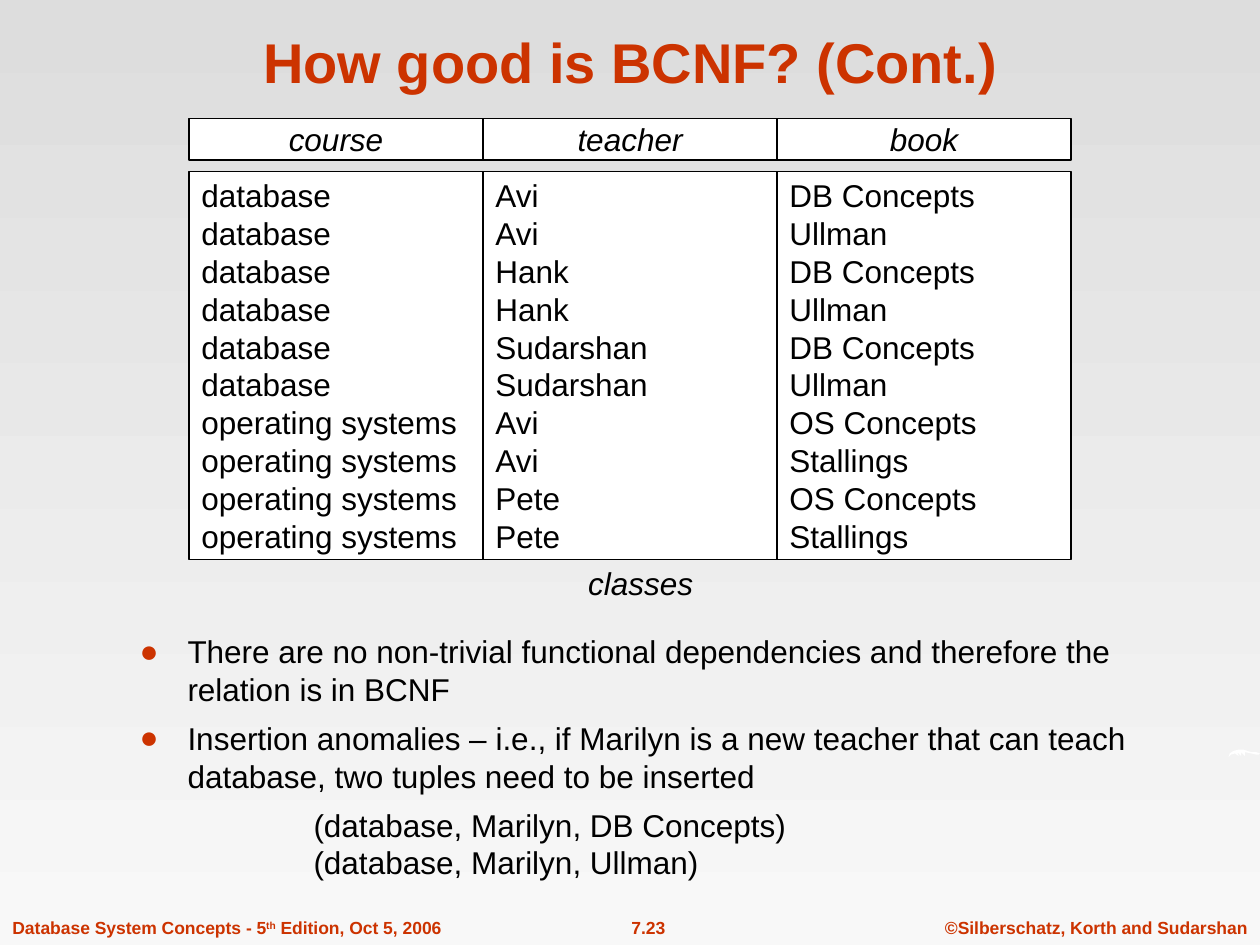
from dataclasses import dataclass
from typing import Optional

from lxml import etree
from pptx import Presentation
from pptx.dml.color import RGBColor
from pptx.enum.shapes import MSO_SHAPE
from pptx.enum.text import MSO_ANCHOR, PP_ALIGN
from pptx.oxml.ns import qn
from pptx.util import Inches, Pt

RECT = MSO_SHAPE.RECTANGLE
TOP, MIDDLE, BOTTOM = MSO_ANCHOR.TOP, MSO_ANCHOR.MIDDLE, MSO_ANCHOR.BOTTOM
LEFT, CENTER = PP_ALIGN.LEFT, PP_ALIGN.CENTER

RED = RGBColor(0xCC, 0x33, 0x00)
BLACK = RGBColor(0, 0, 0)
WHITE = RGBColor(0xFF, 0xFF, 0xFF)
GRADIENT = (RGBColor(0xDD, 0xDD, 0xDD), RGBColor(0xF8, 0xF8, 0xF8))

PLAIN = {"name": "Arial", "size": Pt(18)}
ITALIC = {**PLAIN, "italic": True}
TITLE = {"name": "Arial", "size": Pt(32), "bold": True}
FOOTER = {"name": "Arial", "size": Pt(10), "bold": True}


@dataclass
class Label:
    lines: list[str]
    box: tuple[float, float, float, float]
    style: dict
    color: RGBColor = BLACK
    align: PP_ALIGN = LEFT
    anchor: MSO_ANCHOR = TOP
    wrap: bool = False


@dataclass
class Point:
    text: str
    left: float
    first_line: float = 0
    bullet: Optional[str] = None


@dataclass
class Column:
    heading: str
    values: list[str]


LABELS = [
    Label(["©Silberschatz, Korth and Sudarshan"], (7.4, 7.23, 2.6, 0.27), FOOTER, RED, CENTER),
    Label(["7.23"], (4.9, 7.23, 0.49, 0.27), FOOTER, RED, CENTER),
    Label(["classes"], (4.57, 4.43, 1.1, 0.4), ITALIC),
    Label(["How good is BCNF? (Cont.)"], (1.09, 0.13, 7.83, 0.67), TITLE, RED, CENTER, BOTTOM, True),
]
EDITION = Label([""], (0, 7.23, 3.62, 0.27), FOOTER, RED)
POINTS = [
    Point("There are no non-trivial functional dependencies and therefore the "
          "relation is in BCNF", 0.38, -0.38, "●"),
    Point("Insertion anomalies – i.e., if Marilyn is a new teacher that can teach "
          "database, two tuples need to be inserted", 0.38, -0.38, "●"),
    Point("(database, Marilyn, DB Concepts)\v(database, Marilyn, Ullman)", 1.38),
]
COLUMNS = [
    Column("course", ["database"] * 6 + ["operating systems"] * 4),
    Column("teacher", ["Avi", "Avi", "Hank", "Hank", "Sudarshan", "Sudarshan",
                       "Avi", "Avi", "Pete", "Pete"]),
    Column("book", ["DB Concepts", "Ullman"] * 3 + ["OS Concepts", "Stallings"] * 2),
]
TABLE_LEFT, COLUMN_WIDTH = 1.5, 7 / 3
HEADING_TOP, HEADING_HEIGHT = 0.94, 0.33
VALUES_TOP, VALUES_HEIGHT = 1.36, 3.08
SWOOSH = [
    (9.75, 6.01), (9.76, 5.98), (9.79, 5.96), (9.83, 5.95), (9.87, 5.95),
    (9.93, 5.97), (9.97, 5.97), (10, 5.98), (9.99, 5.99), (9.97, 5.99),
    (9.93, 5.98), (9.88, 5.97), (9.88, 6), (9.85, 5.97), (9.85, 6),
    (9.82, 5.97), (9.83, 6), (9.8, 5.98), (9.77, 5.99),
]


def style_runs(p, style: dict, color: RGBColor) -> None:
    for r in p.runs:
        for key, value in style.items():
            setattr(r.font, key, value)
        r.font.color.rgb = color


def write_label(sp, label: Label) -> None:
    tf = sp.text_frame
    tf.word_wrap = label.wrap
    tf.vertical_anchor = label.anchor
    tf.text = "\n".join(label.lines)
    for p in tf.paragraphs:
        p.alignment = label.align
        style_runs(p, label.style, label.color)


def add_label(slide, label: Label):
    sp = slide.shapes.add_textbox(*map(Inches, label.box))
    write_label(sp, label)
    return sp


def add_cell(slide, label: Label) -> None:
    sp = slide.shapes.add_shape(RECT, *map(Inches, label.box))
    sp.shadow.inherit = False
    sp.fill.solid()
    sp.fill.fore_color.rgb = WHITE
    sp.line.color.rgb = BLACK
    sp.line.width = Pt(0.75)
    write_label(sp, label)


def add_relation(slide) -> None:
    """Draw the heading cells with the value cells set apart below them."""
    for i, column in enumerate(COLUMNS):
        left = TABLE_LEFT + i * COLUMN_WIDTH
        add_cell(slide, Label([column.heading], (left, HEADING_TOP, COLUMN_WIDTH, HEADING_HEIGHT),
                              ITALIC, align=CENTER, anchor=MIDDLE))
        add_cell(slide, Label(column.values, (left, VALUES_TOP, COLUMN_WIDTH, VALUES_HEIGHT),
                              PLAIN, anchor=MIDDLE))


def add_points(slide) -> None:
    tf = slide.shapes.add_textbox(*map(Inches, (1.01, 4.97, 8.58, 2.53))).text_frame
    tf.word_wrap = True
    for i, point in enumerate(POINTS):
        p = tf.add_paragraph() if i else tf.paragraphs[0]
        p.text = point.text
        if i:
            p.space_before = Pt(6.3)
        pPr = p._p.get_or_add_pPr()
        pPr.set("marL", str(Inches(point.left)))
        pPr.set("indent", str(Inches(point.first_line)))
        if point.bullet:
            color = etree.SubElement(pPr, qn("a:buClr"))
            etree.SubElement(color, qn("a:srgbClr"), val=str(RED))
            etree.SubElement(pPr, qn("a:buFont"), typeface="Arial")
            etree.SubElement(pPr, qn("a:buChar"), char=point.bullet)
        style_runs(p, PLAIN, BLACK)


def add_edition(slide) -> None:
    p = add_label(slide, EDITION).text_frame.paragraphs[0]
    for text in ("Database System Concepts - 5", "th", " Edition, Oct 5, 2006"):
        r = p.add_run()
        r.text = text
        if text == "th":
            r._r.get_or_add_rPr().set("baseline", "30000")
    style_runs(p, FOOTER, RED)


def add_swoosh(slide) -> None:
    points = [(Inches(x), Inches(y)) for x, y in SWOOSH]
    builder = slide.shapes.build_freeform(*points[0])
    builder.add_line_segments(points[1:], close=True)
    sp = builder.convert_to_shape()
    sp.shadow.inherit = False
    sp.fill.solid()
    sp.fill.fore_color.rgb = WHITE
    sp.line.fill.background()


def main() -> None:
    prs = Presentation()
    prs.slide_width, prs.slide_height = Inches(10), Inches(7.5)
    slide = prs.slides.add_slide(prs.slide_layouts[6])
    fill = slide.background.fill
    fill.gradient()
    fill.gradient_angle = 270
    for position, (stop, color) in enumerate(zip(fill.gradient_stops, GRADIENT)):
        stop.position = position
        stop.color.rgb = color
    add_edition(slide)
    add_swoosh(slide)
    add_points(slide)
    add_relation(slide)
    for label in LABELS:
        add_label(slide, label)
    prs.save("out.pptx")


if __name__ == "__main__":
    main()
